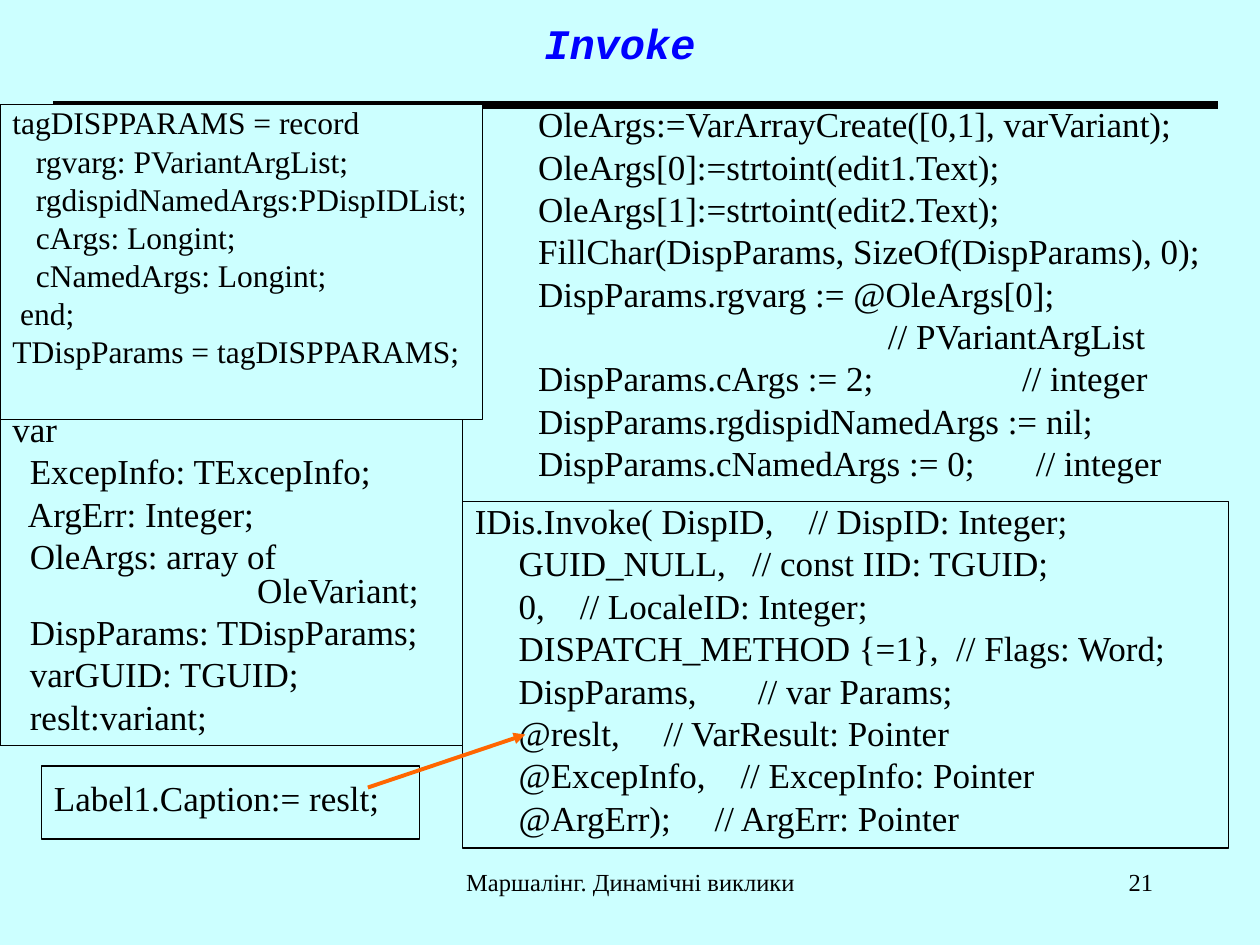
from pptx import Presentation
from pptx.dml.color import RGBColor
from pptx.enum.shapes import MSO_CONNECTOR as CONN, MSO_SHAPE as SHAPE
from pptx.enum.text import MSO_ANCHOR as ANCHOR, MSO_AUTO_SIZE as AUTO, PP_ALIGN as ALIGN
from pptx.oxml.ns import qn
from pptx.util import Inches, Pt
from lxml import etree

BLACK = RGBColor(0x00, 0x00, 0x00)
BLUE = RGBColor(0x00, 0x00, 0xFF)
ORANGE = RGBColor(0xFF, 0x66, 0x00)
CYAN = RGBColor(0xCC, 0xFF, 0xFF)
SERIF = "Times New Roman"
MONO = "Courier New"

ARGUMENT_SETUP = """OleArgs:=VarArrayCreate([0,1], varVariant);
OleArgs[0]:=strtoint(edit1.Text);
OleArgs[1]:=strtoint(edit2.Text);
FillChar(DispParams, SizeOf(DispParams), 0);
DispParams.rgvarg := @OleArgs[0];
                                        // PVariantArgList
DispParams.cArgs := 2;                 // integer
DispParams.rgdispidNamedArgs := nil;
DispParams.cNamedArgs := 0;       // integer"""

INVOKE_CALL = """IDis.Invoke( DispID,    // DispID: Integer;
     GUID_NULL,   // const IID: TGUID;
     0,    // LocaleID: Integer;
     DISPATCH_METHOD {=1},  // Flags: Word;
     DispParams,       // var Params;
     @reslt,     // VarResult: Pointer
     @ExcepInfo,    // ExcepInfo: Pointer
     @ArgErr);     // ArgErr: Pointer"""

# "\v" marks a line break inside a paragraph
VARIABLES = """var
  ExcepInfo: TExcepInfo;
  ArgErr: Integer;
  OleArgs: array of \v                            OleVariant;
  DispParams: TDispParams;
  varGUID: TGUID;
  reslt:variant;"""

RECORD_TYPE = """tagDISPPARAMS = record
   rgvarg: PVariantArgList;
   rgdispidNamedArgs:PDispIDList;
   cArgs: Longint;
   cNamedArgs: Longint;
 end;
TDispParams = tagDISPPARAMS;"""


def write_text(tf, text, size=20, spacing=0.8, align=ALIGN.LEFT):
    """Write one unbulleted paragraph per line of text."""
    tf.word_wrap = True
    tf.auto_size = AUTO.NONE
    tf.vertical_anchor = ANCHOR.TOP
    for i, line in enumerate(text.split("\n")):
        p = tf.add_paragraph() if i else tf.paragraphs[0]
        pPr = p._p.get_or_add_pPr()
        pPr.set("marL", "0")
        pPr.set("indent", "0")
        etree.SubElement(pPr, qn("a:buNone"))
        p.alignment = align
        p.line_spacing = spacing
        p.space_before = Pt(size / 4 if i else 0)
        for j, part in enumerate(line.split("\v")):
            if j:
                p.add_line_break()
            r = p.add_run()
            r.text = part
            r.font.name = SERIF
            r.font.size = Pt(size)
            r.font.color.rgb = BLACK


def add_line(x1, y1, x2, y2, color, width):
    s = slide.shapes.add_connector(CONN.STRAIGHT, Inches(x1), Inches(y1), Inches(x2), Inches(y2))
    s.line.color.rgb = color
    s.line.width = Pt(width)
    etree.SubElement(s._element.spPr, qn("a:effectLst"))
    return s


prs = Presentation()
prs.slide_width, prs.slide_height = Inches(10), Inches(7.5)
slide = prs.slides.add_slide(prs.slide_layouts[1])
slide.background.fill.solid()
slide.background.fill.fore_color.rgb = CYAN

title = slide.shapes.title
title.left, title.top, title.width, title.height = Inches(0.67), Inches(0), Inches(8.5), Inches(0.67)
tf = title.text_frame
tf.auto_size = AUTO.NONE
tf.vertical_anchor = ANCHOR.MIDDLE
p = tf.paragraphs[0]
p.alignment = ALIGN.CENTER
r = p.add_run()
r.text = "Invoke"
r.font.name = MONO
r.font.size = Pt(24)
r.font.bold = r.font.italic = True
r.font.color.rgb = BLUE

body = slide.placeholders[1]
body.left, body.top, body.width, body.height = Inches(4.17), Inches(0.83), Inches(5.67), Inches(3.17)
write_text(body.text_frame, ARGUMENT_SETUP)

add_line(0.42, 0.83, 9.67, 0.83, BLACK, 4.5)

# left, top, width, height, code, size, line spacing
code_boxes = [
    (3.67, 3.98, 6.08, 2.75, INVOKE_CALL, 20, 0.8),
    (0, 3.25, 3.67, 2.67, VARIABLES, 20, 0.8),
    (0.33, 6.08, 3, 0.58, "Label1.Caption:= reslt;", 20, 1.1),
    (0, 0.83, 3.83, 2.5, RECORD_TYPE, 18, 0.8),
]
for *box, code, size, spacing in code_boxes:
    s = slide.shapes.add_shape(SHAPE.RECTANGLE, *map(Inches, box))
    s.shadow.inherit = False
    s.fill.solid()
    s.fill.fore_color.rgb = CYAN
    s.line.color.rgb = BLACK
    s.line.width = Pt(0.75)
    write_text(s.text_frame, code, size, spacing)

result_arrow = add_line(2.92, 6.25, 4.17, 5.83, ORANGE, 2.25)
etree.SubElement(result_arrow.line._get_or_add_ln(), qn("a:tailEnd"), type="triangle")

for left, width, text, align in [
    (3.42, 3.17, "Маршалінг. Динамічні виклики", ALIGN.CENTER),
    (7.17, 2.08, "21", ALIGN.RIGHT),
]:
    footer = slide.shapes.add_textbox(Inches(left), Inches(6.83), Inches(width), Inches(0.5))
    write_text(footer.text_frame, text, 14, 1.0, align)

prs.save("out.pptx")
